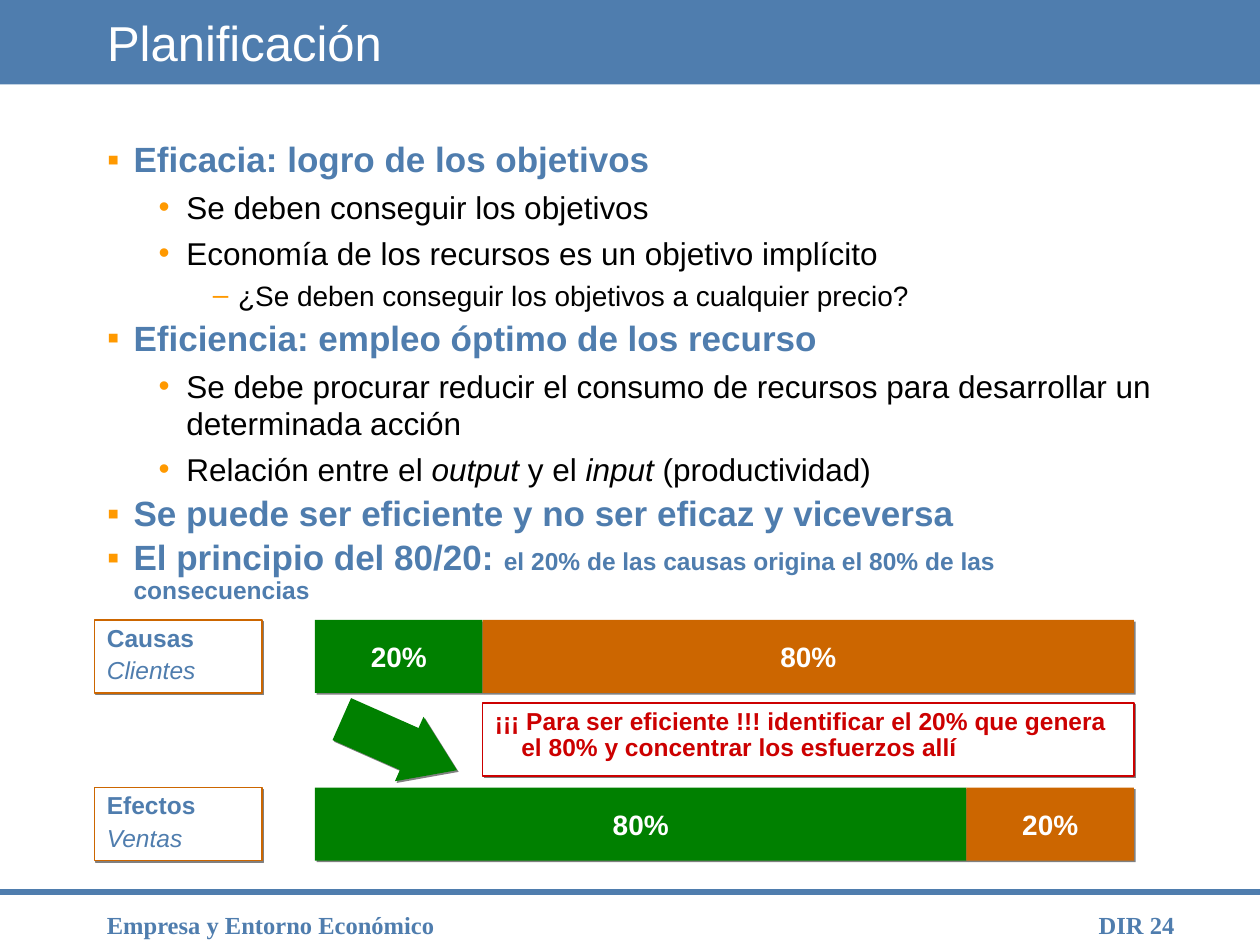
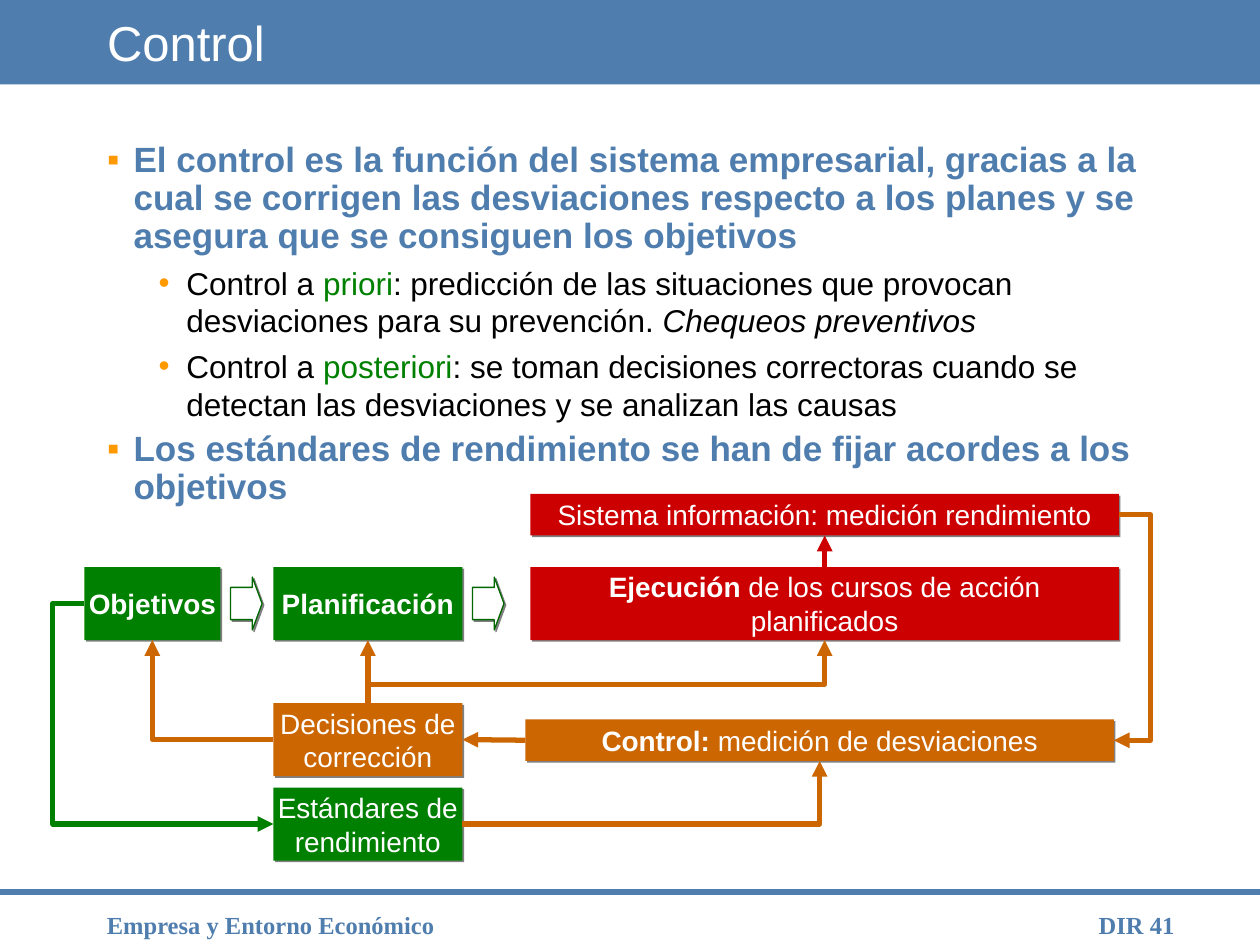
from lxml import etree
from pptx import Presentation
from pptx import util as u
from pptx.dml.color import RGBColor
from pptx.enum import shapes as kinds, text as t
from pptx.oxml.ns import qn

# Shared colours and text styles
BLUE, GREEN, ORANGE, RED = "4F7DAE", "008000", "CC6600", "CC0000"
WHITE, BLACK, BULLET, SHADOW, DARK_GREEN = "FFFFFF", "000000", "FF9900", "808080", "006600"
COURSE = "Empresa y Entorno Económico"
BOLD, ITALIC, MARKED = {"bold": True}, {"italic": True}, {"color": GREEN}
SMALL = {"size": 14}
LEVELS = [  # bullet, indent, hanging, line spacing, space before, run style
    ("▪", 0.21, 0.21, 0.9, 5, {"size": 20, "color": BLUE, "bold": True}),
    ("•", 0.63, 0.22, 1.0, 4.5, {"size": 18, "color": BLACK}),
    ("–", 1.04, 0.20, 1.0, 4, {"size": 16, "color": BLACK}),
]

# Slide content: a paragraph is a list of (text, style) runs
PLANNING = [
    (0, [("Eficacia: logro de los objetivos", {})]),
    (1, [("Se deben conseguir los objetivos", {})]),
    (1, [("Economía de los recursos es un objetivo implícito", {})]),
    (2, [("¿Se deben conseguir los objetivos a cualquier precio?", {})]),
    (0, [("Eficiencia: empleo óptimo de los recurso", {})]),
    (1, [("Se debe procurar reducir el consumo de recursos para desarrollar un "
          "determinada acción", {})]),
    (1, [("Relación entre el ", {}), ("output", ITALIC), (" y el ", {}),
         ("input", ITALIC), (" (productividad)", {})]),
    (0, [("Se puede ser eficiente y no ser eficaz y viceversa", {})]),
    (0, [("El principio del 80/20: ", {}),
         ("el 20% de las causas origina el 80% de las consecuencias", SMALL)]),
]
CONTROL = [
    (0, [("El control es la función del sistema empresarial, gracias a la cual se corrigen "
          "las desviaciones respecto a los planes y se asegura que se consiguen los "
          "objetivos", {})]),
    (1, [("Control a ", {}), ("priori", MARKED),
         (": predicción de las situaciones que provocan desviaciones para su prevención. ", {}),
         ("Chequeos preventivos", ITALIC)]),
    (1, [("Control a ", {}), ("posteriori", MARKED),
         (": se toman decisiones correctoras cuando se detectan las desviaciones y se "
          "analizan las causas", {})]),
    (0, [("Los estándares de rendimiento se han de fijar acordes a los objetivos", {})]),
]
WARNING = ("¡¡¡ Para ser eficiente !!! identificar el 20% que genera el 80% y concentrar "
           "los esfuerzos allí")
PARETO = [  # top, heading, example, green width, bar labels
    (4.92, "Causas", "Clientes", 1.33, ("20%", "80%")),
    (6.25, "Efectos", "Ventas", 5.17, ("80%", "20%")),
]
BAR_LEFT, BAR_RIGHT, BOX_HEIGHT = 2.5, 9, 0.58
FLOW_BOXES = {  # place, fill, paragraphs, side inset, wrap
    "goals": ((0.67, 4.5, 1.08, 0.58), GREEN, [[("Objetivos", BOLD)]], 0.1, False),
    "planning": ((2.17, 4.5, 1.5, 0.58), GREEN, [[("Planificación", BOLD)]], 0.1, False),
    "standards": ((2.17, 6.25, 1.5, 0.58), GREEN,
                  [[("Estándares de", {})], [("rendimiento", {})]], 0.1, False),
    "information": ((4.21, 3.92, 4.67, 0.33), RED,
                    [[("Sistema información: medición rendimiento", {})]], 0.04, True),
    "control": ((4.17, 5.71, 4.67, 0.33), ORANGE,
                [[("Control:", BOLD), (" medición de desviaciones", {})]], 0.04, True),
    "decisions": ((2.17, 5.58, 1.5, 0.58), ORANGE,
                  [[("Decisiones de", {})], [("corrección", {})]], 0.04, True),
    "execution": ((4.21, 4.5, 4.67, 0.58), RED,
                  [[("Ejecución", BOLD), (" de los cursos de acción planificados", {})]],
                  0.04, True),
}
TOP, LEFT, BOTTOM, RIGHT = range(4)
FLOW_LINKS = [  # from, side, to, side, colour, route, position of the middle leg
    ("execution", TOP, "information", BOTTOM, RED, "straight", None),
    ("information", RIGHT, "control", RIGHT, ORANGE, "bend", 9.13),
    ("control", LEFT, "decisions", RIGHT, ORANGE, "straight", None),
    ("goals", LEFT, "standards", LEFT, GREEN, "bend", 0.42),
    ("decisions", TOP, "planning", BOTTOM, ORANGE, "straight", None),
    ("decisions", LEFT, "goals", BOTTOM, ORANGE, "corner", None),
    ("decisions", TOP, "execution", BOTTOM, ORANGE, "upright bend", 5.43),
    ("standards", RIGHT, "control", BOTTOM, ORANGE, "corner", None),
]


def rgb(value):
    return RGBColor.from_string(value)


def child(parent, tag, **attributes):
    return etree.SubElement(parent, qn(tag), attributes)


def place(shape, box):
    shape.left, shape.top, shape.width, shape.height = map(u.Inches, box)


def add_runs(paragraph, runs, size, color, font="Arial", bold=False):
    for words, style in runs:
        run = paragraph.add_run()
        run.text = words
        run.font.name = font
        run.font.size = u.Pt(style.get("size", size))
        run.font.color.rgb = rgb(style.get("color", color))
        run.font.bold = style.get("bold", bold)
        run.font.italic = style.get("italic", False)


def set_frame(shape, anchor=t.MSO_ANCHOR.TOP, side=0.1, wrap=True):
    frame = shape.text_frame
    frame.auto_size = t.MSO_AUTO_SIZE.NONE
    frame.word_wrap = wrap
    frame.vertical_anchor = anchor
    frame.margin_left = frame.margin_right = u.Inches(side)
    frame.margin_top = frame.margin_bottom = u.Inches(0.05)
    return frame


def paragraphs(frame, items):
    for index, item in enumerate(items):
        yield index, frame.paragraphs[0] if index == 0 else frame.add_paragraph(), item


def hang(paragraph, indent, hanging):
    properties = paragraph._p.get_or_add_pPr()
    properties.set("marL", str(u.Inches(indent)))
    properties.set("indent", str(-u.Inches(hanging)))
    return properties


def add_block(slide, box, fill, line=None, kind=kinds.MSO_SHAPE.RECTANGLE, shadow=True):
    shape = slide.shapes.add_shape(kind, *map(u.Inches, box))
    shape.fill.solid()
    shape.fill.fore_color.rgb = rgb(fill)
    if line:
        shape.line.color.rgb = rgb(line)
        shape.line.width = u.Pt(0.75)
    else:
        shape.line.fill.background()
    shape.shadow.inherit = False
    if shadow:
        effects = shape._element.spPr.find(qn("a:effectLst"))
        outer = child(effects, "a:outerShdw", dist=str(u.Pt(1.4)), dir="2700000",
                      algn="ctr", rotWithShape="0")
        child(outer, "a:srgbClr", val=SHADOW)
    return shape


def add_label(slide, box, fill, lines, side=0.1, wrap=False):
    """Filled box with centred white text."""
    shape = add_block(slide, box, fill)
    frame = set_frame(shape, t.MSO_ANCHOR.MIDDLE, side, wrap)
    for _, paragraph, runs in paragraphs(frame, lines):
        paragraph.alignment = t.PP_ALIGN.CENTER
        add_runs(paragraph, runs, 16, WHITE)
    return shape


def add_note(slide, box, line, color, lines):
    """White outlined box with hanging text."""
    frame = set_frame(add_block(slide, box, WHITE, line))
    for index, paragraph, runs in paragraphs(frame, lines):
        hang(paragraph, 0.21, 0.21)
        paragraph.alignment = t.PP_ALIGN.LEFT
        paragraph.line_spacing = 0.9
        paragraph.space_before = u.Pt(3.5 if index else 0)
        add_runs(paragraph, runs, 14, color)


def add_line(slide, start, end, color, kind=kinds.MSO_CONNECTOR.STRAIGHT):
    line = slide.shapes.add_connector(kind, *map(u.Inches, start + end))
    line.line.color.rgb = rgb(color)
    line.line.width = u.Pt(3)
    child(line._element.spPr, "a:effectLst")
    return line


def side_middle(box, side):
    left, top, width, height = box
    return [(left + width / 2, top), (left, top + height / 2),
            (left + width / 2, top + height), (left + width, top + height / 2)][side]


def add_link(slide, blocks, source, out, target, into, color, route, middle):
    start = side_middle(FLOW_BOXES[source][0], out)
    end = side_middle(FLOW_BOXES[target][0], into)
    straight = route == "straight"
    kind = kinds.MSO_CONNECTOR.STRAIGHT if straight else kinds.MSO_CONNECTOR.ELBOW
    link = add_line(slide, start, end, color, kind)
    child(link.line._get_or_add_ln(), "a:tailEnd", type="triangle")
    link.begin_connect(blocks[source], out)
    link.end_connect(blocks[target], into)
    geometry = link._element.spPr.find(qn("a:prstGeom"))
    if route == "corner":
        geometry.set("prst", "bentConnector2")
    elif not straight:
        axis = 1 if route == "upright bend" else 0
        share = (middle - start[axis]) / (end[axis] - start[axis])
        for old in geometry.findall(qn("a:avLst")):
            geometry.remove(old)
        child(child(geometry, "a:avLst"), "a:gd", name="adj1", fmla=f"val {round(share * 100000)}")
    if route == "upright bend":
        # Lay the connector flat around its centre, then turn it to leave upwards
        width, height = abs(end[1] - start[1]), abs(end[0] - start[0])
        place(link, ((start[0] + end[0] - width) / 2, (start[1] + end[1] - height) / 2,
                     width, height))
        transform = link._element.spPr.find(qn("a:xfrm"))
        for flip in ("flipH", "flipV"):
            transform.attrib.pop(flip, None)
        transform.set("rot", "16200000")


def add_footer(slide, box, words, alignment):
    textbox = slide.shapes.add_textbox(*map(u.Inches, box))
    paragraph = set_frame(textbox).paragraphs[0]
    paragraph.alignment = alignment
    add_runs(paragraph, [(words, BOLD)], 14, BLUE, "Times New Roman")


def add_slide(presentation, title, number, body, body_height):
    slide = presentation.slides.add_slide(presentation.slide_layouts[1])
    # Band behind the title, footer rule and footer texts
    band = add_block(slide, (0, 0, 10, 0.67), BLUE, shadow=False)
    slide.shapes._spTree.insert(2, band._element)
    add_line(slide, (0, 7.08), (10, 7.08), BLUE)
    add_footer(slide, (8.39, 7.17, 1.03, 0.25), f"DIR {number}", t.PP_ALIGN.RIGHT)
    add_footer(slide, (0.75, 7.17, 4.67, 0.25), COURSE, t.PP_ALIGN.LEFT)
    # Title
    heading = slide.shapes.title
    place(heading, (0.75, 0, 8.5, 0.67))
    paragraph = set_frame(heading, t.MSO_ANCHOR.MIDDLE).paragraphs[0]
    paragraph.alignment = t.PP_ALIGN.LEFT
    add_runs(paragraph, [(title, {})], 28, WHITE)
    # Bulleted list
    content = slide.placeholders[1]
    place(content, (0.75, 1.08, 8.5, body_height))
    for index, paragraph, (level, runs) in paragraphs(set_frame(content), body):
        bullet, indent, hanging, spacing, before, style = LEVELS[level]
        paragraph.level = level
        properties = hang(paragraph, indent, hanging)
        child(child(properties, "a:buClr"), "a:srgbClr", val=BULLET)
        child(properties, "a:buFont", typeface="Arial")
        child(properties, "a:buChar", char=bullet)
        paragraph.line_spacing = spacing
        if any(run_style is SMALL for _, run_style in runs):
            before = 3.5
        paragraph.space_before = u.Pt(before if index else 0)
        add_runs(paragraph, runs, **style)
    return slide


def add_arrow(slide, box, fill, line, adjustments):
    arrow = add_block(slide, box, fill, line, kinds.MSO_SHAPE.RIGHT_ARROW)
    arrow.adjustments[0], arrow.adjustments[1] = adjustments
    return arrow


def draw_pareto(slide):
    for top, heading, example, green, labels in PARETO:
        split = BAR_LEFT + green
        parts = [(BAR_LEFT, green, GREEN), (split, BAR_RIGHT - split, ORANGE)]
        for (left, width, fill), label in zip(parts, labels):
            add_label(slide, (left, top, width, BOX_HEIGHT), fill, [[(label, BOLD)]])
        add_note(slide, (0.75, top, 1.33, BOX_HEIGHT), ORANGE, BLUE,
                 [[(heading, BOLD)], [(example, ITALIC)]])
    add_arrow(slide, (2.67, 5.63, 1, 0.56), GREEN, None, (0.65, 0.74)).rotation = 23.9
    add_note(slide, (3.83, 5.58, 5.17, BOX_HEIGHT), RED, RED, [[(WARNING, BOLD)]])


def draw_control_loop(slide):
    blocks = {name: add_label(slide, *box) for name, box in FLOW_BOXES.items()}
    for left in (1.83, 3.75):
        add_arrow(slide, (left, 4.58, 0.25, 0.42), WHITE, DARK_GREEN, (0.61, 0.31))
    for link in FLOW_LINKS:
        add_link(slide, blocks, *link)


def main():
    presentation = Presentation()
    presentation.slide_width, presentation.slide_height = u.Inches(10), u.Inches(7.5)
    draw_pareto(add_slide(presentation, "Planificación", 24, PLANNING, 3.83))
    draw_control_loop(add_slide(presentation, "Control", 41, CONTROL, 5.67))
    presentation.save("out.pptx")


if __name__ == "__main__":
    main()
